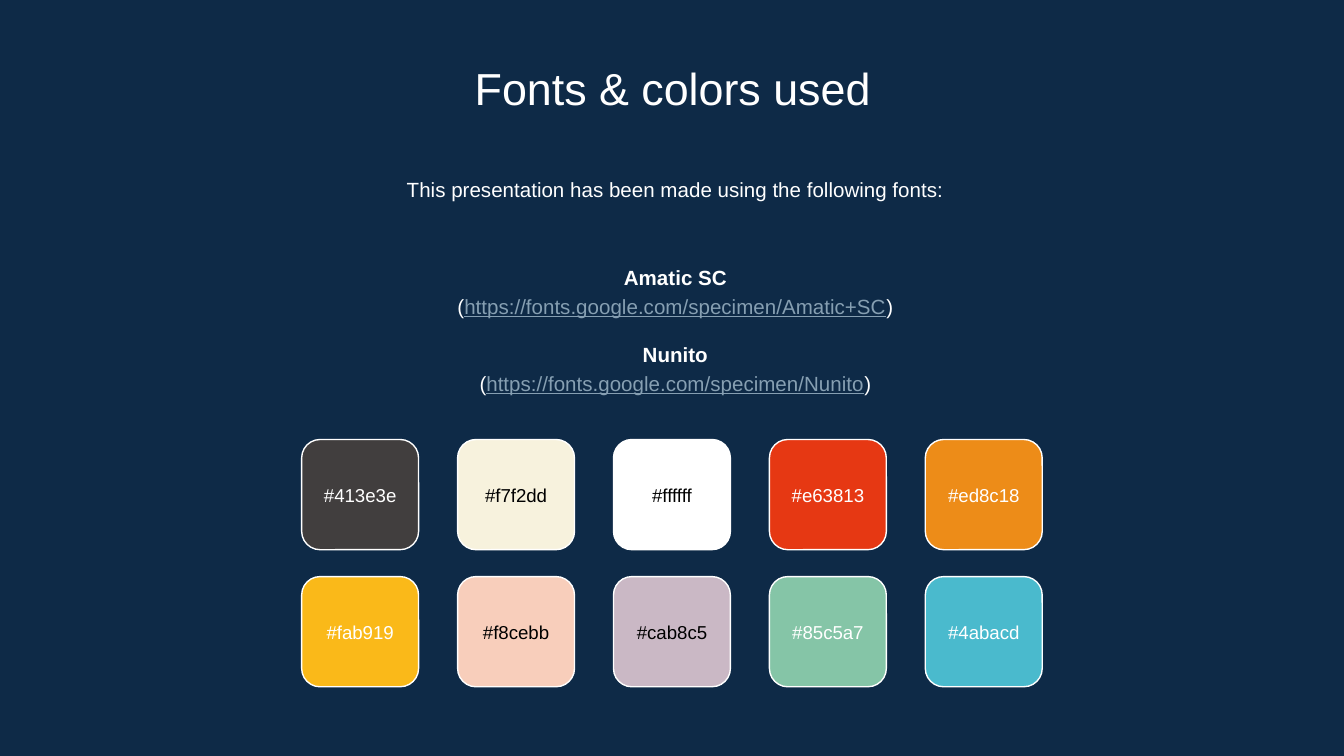
from pptx import Presentation
from pptx.dml.color import RGBColor
from pptx.enum.shapes import MSO_SHAPE
from pptx.enum.text import MSO_ANCHOR, PP_ALIGN
from pptx.util import Inches, Pt

ROUNDED = MSO_SHAPE.ROUNDED_RECTANGLE
CENTER = PP_ALIGN.CENTER
TOP, MIDDLE = MSO_ANCHOR.TOP, MSO_ANCHOR.MIDDLE
FONT = "Arial"
COLORS = {"background": "0E2A47", "light": "FFFFFF", "dark": "000000", "link": "869FB2"}


def set_frame(box, left, top, width, height, anchor):
    """Place a text holder, set its margins and return its first paragraph."""
    box.left, box.top = Inches(left), Inches(top)
    box.width, box.height = Inches(width), Inches(height)
    frame = box.text_frame
    frame.word_wrap = True
    frame.vertical_anchor = anchor
    frame.margin_left = frame.margin_right = Inches(0.1)
    frame.margin_top = frame.margin_bottom = Inches(0.1)
    return frame.paragraphs[0]


def add_span(para, text, size, color="light", bold=False, underline=False):
    para.alignment = CENTER
    span = para.add_run()
    span.text = text
    span.font.name = FONT
    span.font.size = Pt(size)
    span.font.bold = bold
    span.font.underline = underline
    span.font.color.rgb = RGBColor.from_string(COLORS[color])


slide_width = 10
deck = Presentation()
deck.slide_width = Inches(slide_width)
deck.slide_height = Inches(slide_width * 9 / 16)
page = deck.slides.add_slide(deck.slide_layouts[5])
page.background.fill.solid()
page.background.fill.fore_color.rgb = RGBColor.from_string(COLORS["background"])

para = set_frame(page.shapes.title, 1.15, 0.35, 7.71, 0.53, TOP)
add_span(para, "Fonts & colors used", 24)

intro = page.shapes.add_textbox(0, 0, 0, 0)
para = set_frame(intro, 1.17, 1.19, 7.71, 0.48, TOP)
para.line_spacing = 1.15
add_span(para, "This presentation has been made using the following fonts:", 11)

# Font names, each followed by its address
fonts = [
    ("Amatic SC", "https://fonts.google.com/specimen/Amatic+SC"),
    ("Nunito", "https://fonts.google.com/specimen/Nunito"),
]
font_list = page.shapes.add_textbox(0, 0, 0, 0)
para = set_frame(font_list, 1.17, 1.76, 7.71, 1.37, MIDDLE)
for index, (name, address) in enumerate(fonts):
    if index:
        para = font_list.text_frame.add_paragraph()
        para.space_before = Pt(11)
    para.line_spacing = 1.15
    add_span(para, name, 11, bold=True)
    para = font_list.text_frame.add_paragraph()
    para.line_spacing = 1.15
    add_span(para, "(", 11)
    add_span(para, address, 11, "link", underline=True)
    add_span(para, ")", 11)

# Colour swatches: two rows of five, centred on the page, with a label on each
swatch_rows = [
    ["413e3e", "f7f2dd", "ffffff", "e63813", "ed8c18"],
    ["fab919", "f8cebb", "cab8c5", "85c5a7", "4abacd"],
]
dark_labels = {"f7f2dd", "ffffff", "f8cebb", "cab8c5"}
swatch_width, swatch_height, label_height = 0.87, 0.82, 0.48
column_step, row_step = 1.16, 1.02
grid_left = (slide_width - 4 * column_step - swatch_width) / 2
for row, codes in enumerate(swatch_rows):
    for column, code in enumerate(codes):
        left = grid_left + column * column_step
        top = 3.27 + row * row_step
        swatch = page.shapes.add_shape(
            ROUNDED, Inches(left), Inches(top), Inches(swatch_width), Inches(swatch_height))
        swatch.shadow.inherit = False
        swatch.fill.solid()
        swatch.fill.fore_color.rgb = RGBColor.from_string(code.upper())
        swatch.line.color.rgb = RGBColor.from_string(COLORS["light"])
        swatch.line.width = Pt(0.75)

        label = page.shapes.add_textbox(0, 0, 0, 0)
        label_top = top + (swatch_height - label_height) / 2
        para = set_frame(label, left, label_top, swatch_width, label_height, MIDDLE)
        add_span(para, "#" + code, 10, "dark" if code in dark_labels else "light")

deck.save("out.pptx")
